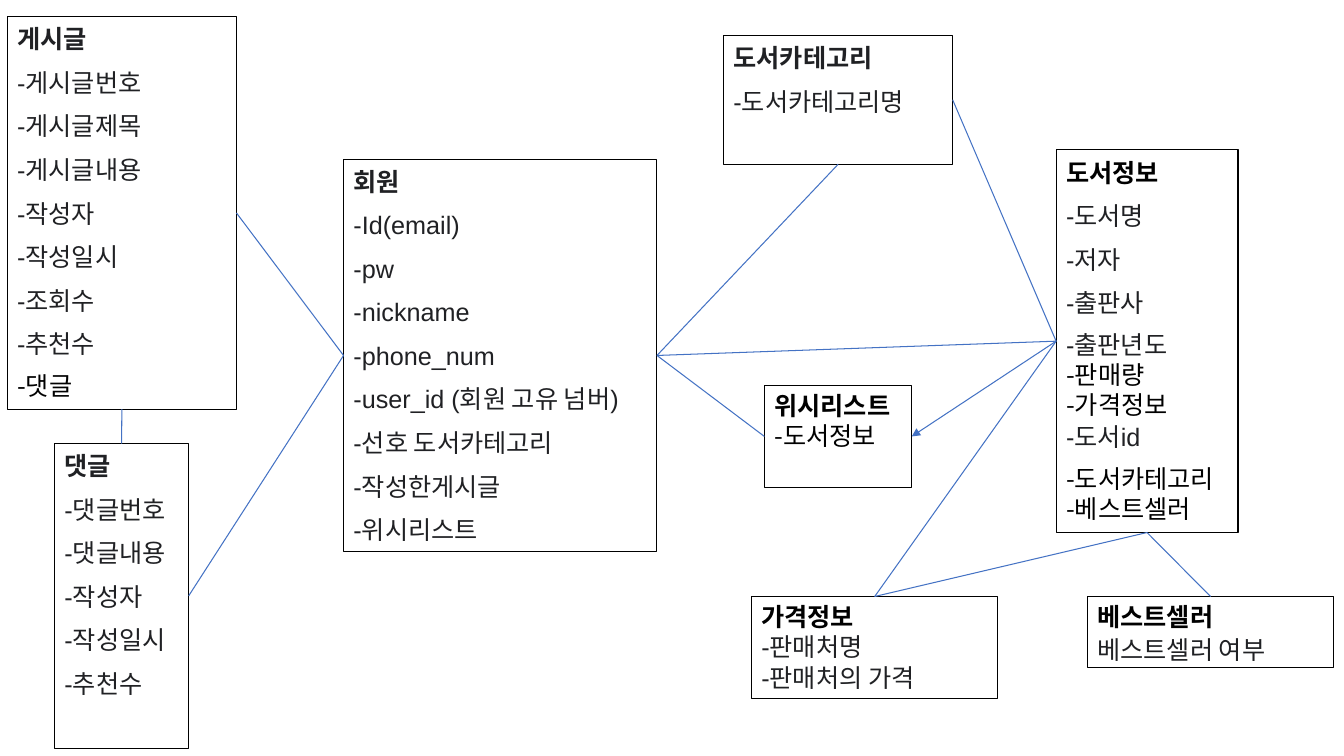
from lxml.etree import SubElement
from pptx import Presentation
from pptx.dml.color import RGBColor
from pptx.enum.shapes import MSO_CONNECTOR as LINE
from pptx.enum.text import MSO_ANCHOR as ANCHOR, PP_ALIGN as ALIGN
from pptx.oxml.ns import qn
from pptx.util import Pt

BLACK = RGBColor(0x00, 0x00, 0x00)
INK = RGBColor(0x20, 0x21, 0x24)
BLUE = RGBColor(0x44, 0x72, 0xC4)
ARIAL, NOTO = "Arial", "Noto Sans CJK KR"
TOP, LEFT, BOTTOM, RIGHT = range(4)

HEAD = dict(bold=True, before=0)
ITEM = dict()
FLAT = dict(before=0)
TIGHT = dict(before=0, loose=False)
PLAIN = dict(font=NOTO, color=BLACK, before=0, loose=False)
PLAIN_GAP = dict(PLAIN, before=8)
PLAIN_HEAD = dict(PLAIN, bold=True)

ENTITIES = {
    "member": ((245.4, 113.6, 223.9, 280.6), [
        ("회원", HEAD), ("-Id(email)", ITEM), ("-pw", ITEM), ("-nickname", ITEM),
        ("-phone_num", ITEM), ("-user_id (회원 고유 넘버)", ITEM),
        ("-선호 도서카테고리", ITEM), ("-작성한게시글", ITEM), ("-위시리스트", ITEM)]),
    "post": ((5.2, 11.9, 163.7, 280.4), [
        ("게시글", HEAD), ("-게시글번호", ITEM), ("-게시글제목", ITEM),
        ("-게시글내용", ITEM), ("-작성자", ITEM), ("-작성일시", ITEM),
        ("-조회수", ITEM), ("-추천수", ITEM), ("-댓글", PLAIN_GAP)]),
    "comment": ((39, 316.8, 95.8, 217.6), [
        ("댓글", HEAD), ("-댓글번호", ITEM), ("-댓글내용", ITEM),
        ("-작성자", ITEM), ("-작성일시", ITEM), ("-추천수", ITEM)]),
    "book": ((754.4, 107, 129.9, 273.4), [
        ("도서정보", dict(HEAD, color=BLACK)), ("-도서명", ITEM), ("-저자", ITEM),
        ("-출판사", ITEM), ("-출판년도", dict(loose=False)), ("-판매량", PLAIN),
        ("-가격정보", PLAIN), ("-도서id", FLAT), ("-도서카테고리", PLAIN_GAP),
        ("-베스트셀러", PLAIN)]),
    "category": ((516.8, 25.2, 163.7, 92.2), [
        ("도서카테고리", HEAD), ("-도서카테고리명", ITEM)]),
    "bestseller": ((776.7, 426.1, 176, 50.9), [
        ("베스트셀러", PLAIN_HEAD), ("베스트셀러 여부", FLAT)]),
    "wishlist": ((546, 275.4, 105.3, 72.7), [
        ("위시리스트", PLAIN_HEAD), ("-도서정보", PLAIN)]),
    "price": ((536.8, 426.1, 176, 72.7), [
        ("가격정보", PLAIN_HEAD), ("-판매처명", TIGHT), ("-판매처의 가격", TIGHT)]),
}

RELATIONS = [
    ("post", RIGHT, "member", LEFT),
    ("member", LEFT, "comment", RIGHT),
    ("member", RIGHT, "category", BOTTOM),
    ("category", RIGHT, "book", LEFT),
    ("book", LEFT, "price", TOP),
    ("book", BOTTOM, "bestseller", TOP),
    ("book", BOTTOM, "price", TOP),
    ("member", RIGHT, "book", LEFT),
    ("comment", TOP, "post", BOTTOM),
    ("member", RIGHT, "wishlist", LEFT),
]


def write(p, text, font=ARIAL, color=INK, bold=False, before=8, loose=True):
    """Fill a paragraph with one formatted run."""
    p.space_before = Pt(before)
    p.alignment = ALIGN.JUSTIFY if loose else ALIGN.LEFT
    p.line_spacing = 1.07 if loose else 1.0
    r = p.add_run()
    r.text = text
    r.font.name, r.font.size, r.font.bold = font, Pt(18), bold
    r.font.color.rgb = color
    SubElement(r.font._element, qn("a:ea"), typeface=NOTO)


def add_entity(s, box, rows):
    """Draw an outlined box listing an entity and its fields."""
    sp = s.shapes.add_textbox(*map(Pt, box))
    sp.line.color.rgb, sp.line.width = BLACK, Pt(0.75)
    tf = sp.text_frame
    tf.word_wrap, tf.vertical_anchor = True, ANCHOR.TOP
    for i, (text, style) in enumerate(rows):
        write(tf.add_paragraph() if i else tf.paragraphs[0], text, **style)
    return sp


def add_relation(s, start, start_side, end, end_side, arrow=False):
    """Join two entities with a straight line."""
    c = s.shapes.add_connector(LINE.STRAIGHT, 0, 0, 0, 0)
    c.begin_connect(start, start_side)
    c.end_connect(end, end_side)
    c.line.color.rgb, c.line.width = BLUE, Pt(0.75)
    if arrow:
        SubElement(c.line._get_or_add_ln(), qn("a:tailEnd"), type="triangle")
    SubElement(c._element.spPr, qn("a:effectLst"))


def main():
    """Build the entity diagram and save it."""
    prs = Presentation()
    prs.slide_width, prs.slide_height = Pt(960), Pt(540)
    s = prs.slides.add_slide(prs.slide_layouts[6])
    boxes = {name: add_entity(s, *entity) for name, entity in ENTITIES.items()}
    for start, start_side, end, end_side in RELATIONS:
        add_relation(s, boxes[start], start_side, boxes[end], end_side)
    add_relation(s, boxes["book"], LEFT, boxes["wishlist"], RIGHT, arrow=True)
    prs.save("out.pptx")


if __name__ == "__main__":
    main()
